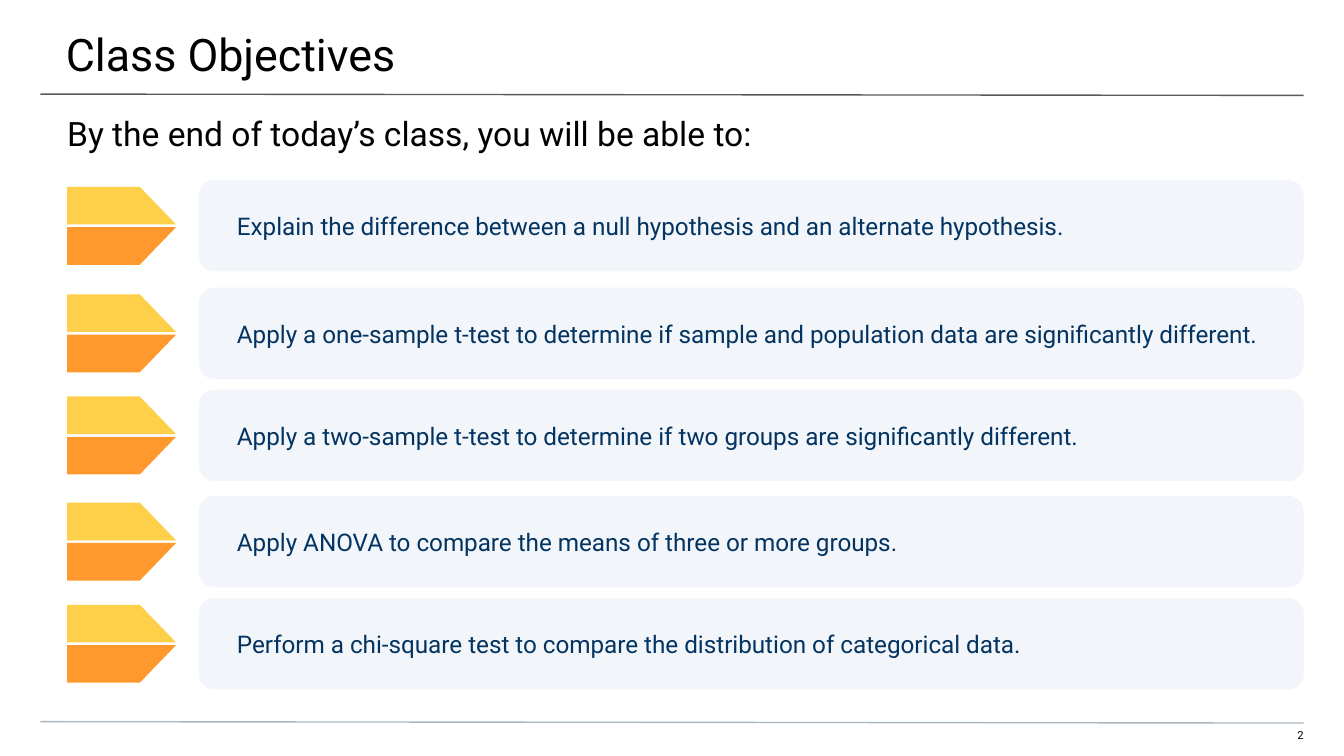
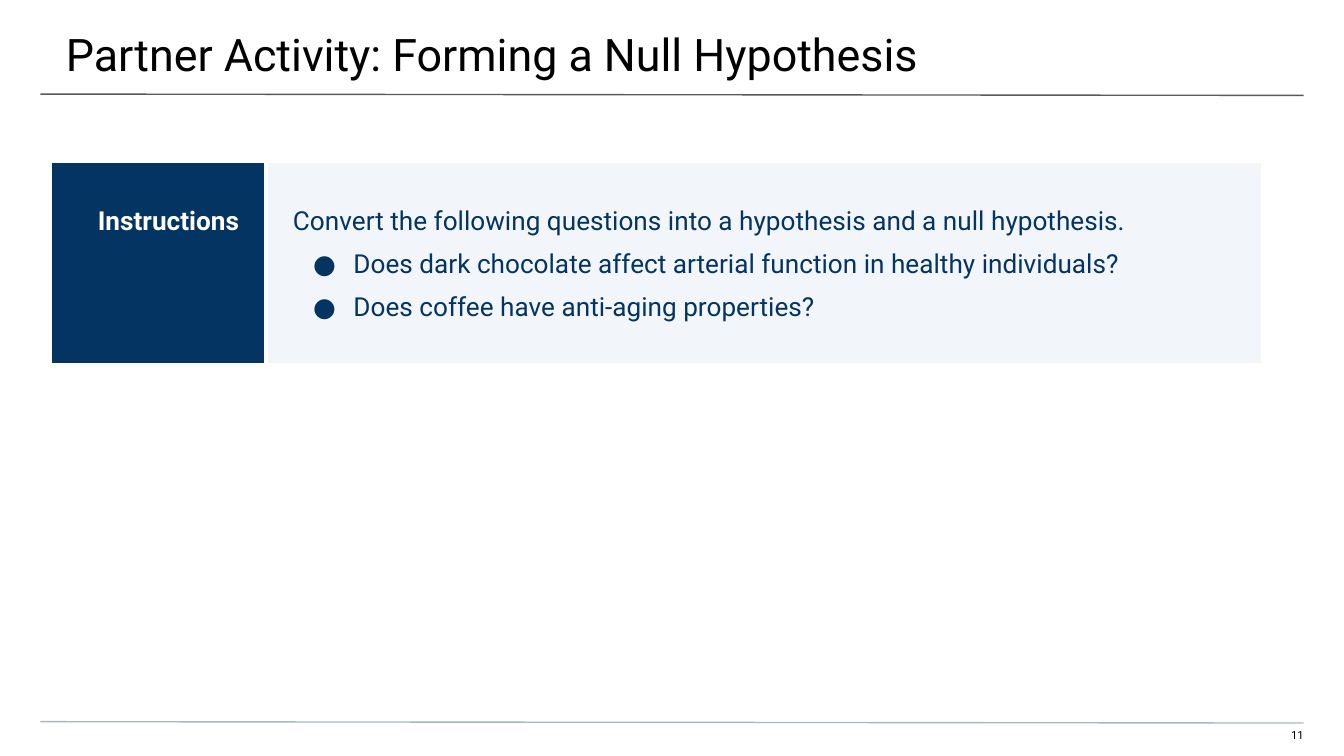
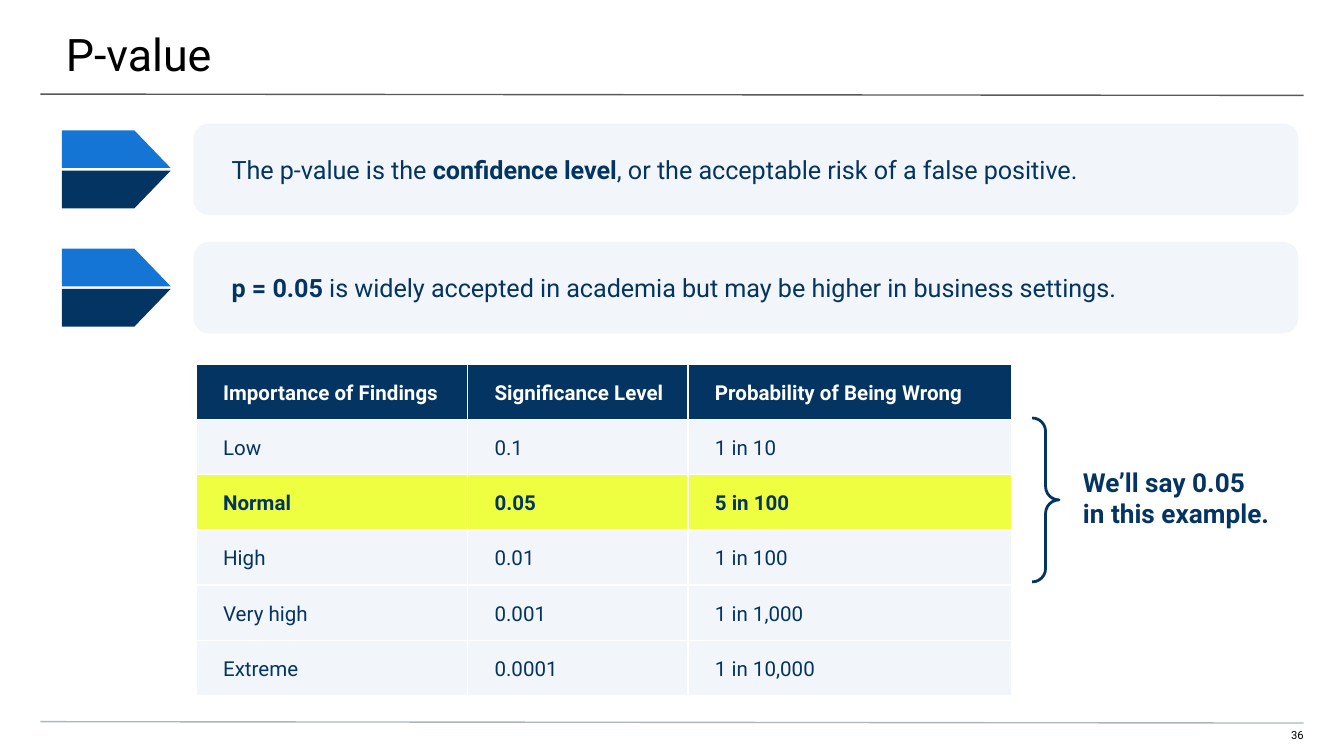
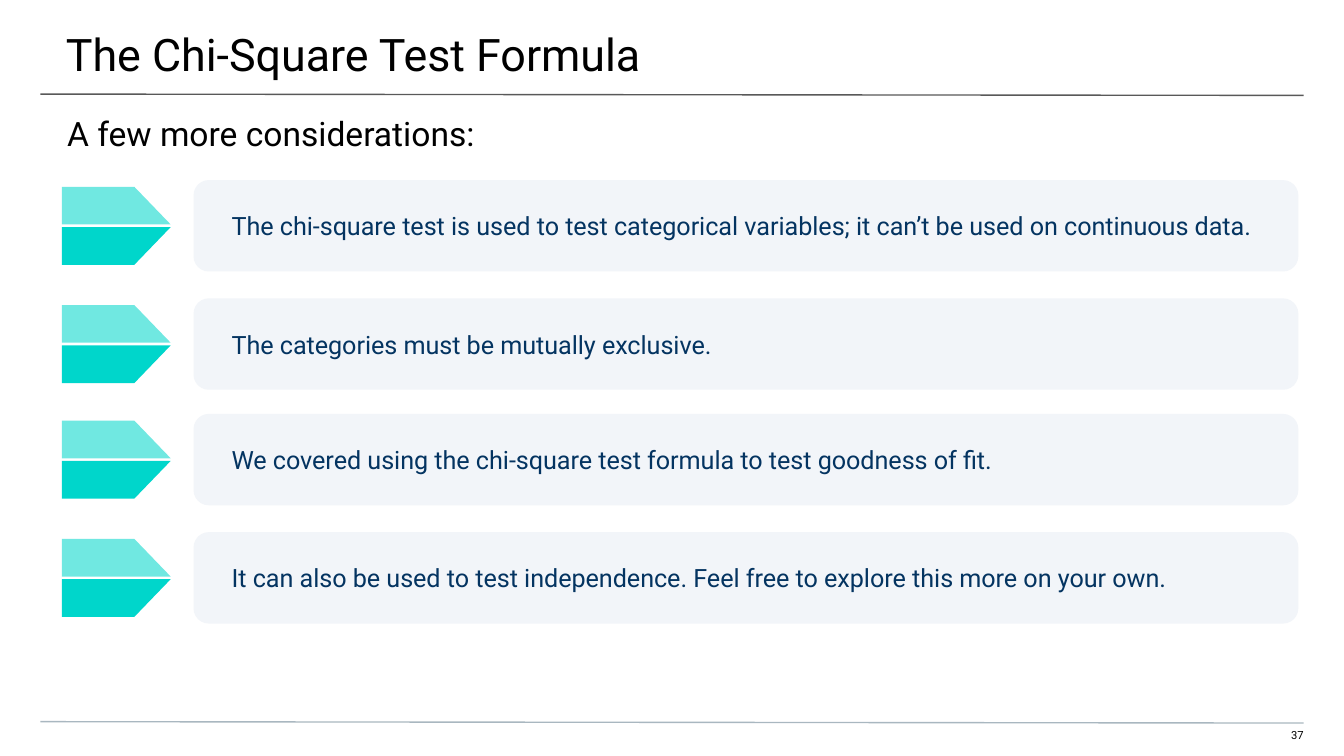
import pptx
import pptx.dml.color
import pptx.enum.shapes
import pptx.enum.text
import pptx.oxml
import pptx.oxml.ns
import pptx.util
from lxml import etree

Inches = pptx.util.Inches
Pt = pptx.util.Pt
PP_ALIGN = pptx.enum.text.PP_ALIGN
MSO_SHAPE = pptx.enum.shapes.MSO_SHAPE

FONT = "Roboto"
COLORS = {
    "black": "000000", "white": "FFFFFF", "navy": "043461", "panel": "F2F5F9",
    "title_rule": "595959", "footer_rule": "A9B7C0", "yellow": "FECF48",
    "orange": "FF992D", "blue": "1475D4", "teal": "00D6CB", "highlight": "EEFF41",
}
ROW_HEIGHT = 0.68


def rgb(name):
    return pptx.dml.color.RGBColor.from_string(COLORS[name])


def sub(parent, tag, **attrs):
    return etree.SubElement(parent, pptx.oxml.ns.qn(tag), attrs)


def paint(sp, color, alpha=None):
    sp.shadow.inherit = False
    sp.line.fill.background()
    sp.fill.solid()
    sp.fill.fore_color.rgb = rgb(color)
    if alpha:
        clr = sp.fill._xPr.find(".//" + pptx.oxml.ns.qn("a:srgbClr"))
        sub(clr, "a:alpha", val=str(alpha * 1000))


def set_font(p, size, color, bold=False):
    p.font.name = FONT
    p.font.size = Pt(size)
    p.font.color.rgb = rgb(color)
    p.font.bold = bold


def set_insets(target, insets):
    (target.margin_left, target.margin_top,
     target.margin_right, target.margin_bottom) = [Inches(v) for v in insets]


def add_text(slide, box, text, size, color, insets, bold=False, align=None):
    sp = slide.shapes.add_textbox(*[Inches(v) for v in box])
    tf = sp.text_frame
    tf.word_wrap = True
    set_insets(tf, insets)
    p = tf.paragraphs[0]
    p.text = text
    p.alignment = align
    set_font(p, size, color, bold)


def add_rule(slide, top, color):
    line = slide.shapes.add_connector(
        pptx.enum.shapes.MSO_CONNECTOR.STRAIGHT,
        Inches(0.3), Inches(top), Inches(9.7), Inches(top + 0.01))
    line.line.color.rgb = rgb(color)
    line.line.width = Pt(0.75)
    sub(line._element.spPr, "a:effectLst")


def add_base(prs, title, number, subtitle=None):
    slide = prs.slides.add_slide(prs.slide_layouts[6])
    add_text(slide, (9.41, 5.42, 0.29, 0.12), str(number), 6, "black",
             (0, 0, 0, 0.1), align=PP_ALIGN.RIGHT)
    add_rule(slide, 0.7, "title_rule")
    add_rule(slide, 5.37, "footer_rule")
    add_text(slide, (-0.01, 0, 10.03, 0.58), title, 24, "black", (0.5, 0.2, 0.3, 0.1))
    if subtitle:
        add_text(slide, (0, 0.74, 10, 0.4), subtitle, 18, "black", (0.5, 0.1, 0.5, 0))
    return slide


def add_arrow_half(slide, left, flat, tip, color, alpha=None):
    points = [(left, flat), (left, tip), (left + 0.81, tip), (left + 0.54, flat)]
    points = [(Inches(x), Inches(y)) for x, y in points]
    builder = slide.shapes.build_freeform(*points[0])
    builder.add_line_segments(points[1:], close=True)
    paint(builder.convert_to_shape(), color, alpha)


def add_point(slide, left, top, runs, size, upper, lower, alpha=None):
    add_arrow_half(slide, left, top + 0.05, top + 0.33, upper, alpha)
    add_arrow_half(slide, left, top + 0.63, top + 0.35, lower)
    sp = slide.shapes.add_shape(
        MSO_SHAPE.ROUNDED_RECTANGLE, Inches(left + 0.98), Inches(top),
        Inches(8.22), Inches(ROW_HEIGHT))
    paint(sp, "panel")
    tf = sp.text_frame
    tf.word_wrap = True
    tf.vertical_anchor = pptx.enum.text.MSO_ANCHOR.MIDDLE
    set_insets(tf, (0.25, 0.1, 0.1, 0.1))
    p = tf.paragraphs[0]
    p.alignment = PP_ALIGN.LEFT
    set_font(p, size, "navy")
    for text, bold in runs:
        r = p.add_run()
        r.text = text
        if bold:
            r.font.bold = True


def add_points(slide, left, tops, items, size, upper, lower, alpha=None):
    for top, item in zip(tops, items):
        runs = [(item, False)] if isinstance(item, str) else item
        add_point(slide, left, top, runs, size, upper, lower, alpha)


def add_grid(slide, left, top, widths, heights):
    frame = slide.shapes.add_table(
        len(heights), len(widths), Inches(left), Inches(top),
        Inches(sum(widths)), Inches(sum(heights)))
    table = frame.table
    table.first_row = False
    table.horz_banding = False
    for col, width in zip(table.columns, widths):
        col.width = Inches(width)
    for row, height in zip(table.rows, heights):
        row.height = Inches(height)
    return table


def style_cell(cell, fill, border, insets):
    tc_pr = cell._tc.get_or_add_tcPr()
    for side in ("a:lnL", "a:lnR", "a:lnT", "a:lnB"):
        ln = sub(tc_pr, side, w=str(Pt(border)))
        sub(sub(ln, "a:solidFill"), "a:srgbClr", val=COLORS["white"])
    cell.fill.solid()
    cell.fill.fore_color.rgb = rgb(fill)
    set_insets(cell, insets)


def write_cell_paragraph(p, text, size, color, bold=False):
    p.text = text
    p.line_spacing = 1.15
    set_font(p, size, color, bold)


def add_bullet(p):
    p.space_before = Pt(4)
    p_pr = p._p.get_or_add_pPr()
    p_pr.set("marL", str(Inches(0.45)))
    p_pr.set("indent", str(Inches(-0.3)))
    sub(sub(p_pr, "a:buClr"), "a:srgbClr", val=COLORS["navy"])
    sub(p_pr, "a:buFont", typeface=FONT)
    sub(p_pr, "a:buChar", char="●")


def add_instructions(slide, left, top, label, intro, questions):
    heights = (0.23, 0.18, 0.2, 0.24, 0.31, 0.06)
    table = add_grid(slide, left, top, (1.61, 7.42), heights)
    for column, fill in enumerate(("navy", "panel")):
        table.cell(0, column).merge(table.cell(len(heights) - 1, column))
        for row in range(len(heights)):
            style_cell(table.cell(row, column), fill, 2.25, (0.2, 0.3, 0.2, 0.3))
    p = table.cell(0, 0).text_frame.paragraphs[0]
    p.alignment = PP_ALIGN.RIGHT
    write_cell_paragraph(p, label, 14, "white", True)
    tf = table.cell(0, 1).text_frame
    write_cell_paragraph(tf.paragraphs[0], intro, 14, "navy")
    for question in questions:
        p = tf.add_paragraph()
        add_bullet(p)
        write_cell_paragraph(p, question, 14, "navy")
    p.space_after = Pt(4)


def add_significance_table(slide, left, top, rows, highlighted):
    table = add_grid(slide, left, top, (2.02, 1.64, 2.41), [0.37] * len(rows))
    for i, row in enumerate(rows):
        header = i == 0
        fill = "navy" if header else "highlight" if i == highlighted else "panel"
        for j, text in enumerate(row):
            cell = table.cell(i, j)
            style_cell(cell, fill, 1, (0.2, 0.1, 0.1 if header else 0.2, 0.1))
            write_cell_paragraph(cell.text_frame.paragraphs[0], text, 11,
                                 "white" if header else "navy",
                                 header or i == highlighted)


def add_brace_note(slide, left, top, text):
    add_text(slide, (left + 0.28, top + 0.26, 2.04, 0.67), text, 14, "navy",
             (0.1, 0.1, 0.1, 0.1), bold=True)
    brace = slide.shapes.add_shape(
        MSO_SHAPE.RIGHT_BRACE, Inches(left), Inches(top), Inches(0.2), Inches(1.22))
    brace.adjustments[0] = 0.5
    brace.adjustments[1] = 0.5
    brace.shadow.inherit = False
    brace.fill.background()
    brace.line.color.rgb = rgb("navy")
    brace.line.width = Pt(1.5)


def objectives_slide(prs):
    slide = add_base(prs, "Class Objectives", 2,
                     "By the end of today’s class, you will be able to:")
    add_points(slide, 0.5, (1.34, 2.14, 2.9, 3.69, 4.45), (
        "Explain the difference between a null hypothesis and an alternate hypothesis.",
        "Apply a one-sample t-test to determine if sample and population data are "
        "significantly different.",
        "Apply a two-sample t-test to determine if two groups are significantly different.",
        "Apply ANOVA to compare the means of three or more groups.",
        "Perform a chi-square test to compare the distribution of categorical data.",
    ), 13, "yellow", "orange")


def activity_slide(prs):
    slide = add_base(prs, "Partner Activity: Forming a Null Hypothesis", 11)
    add_instructions(
        slide, 0.37, 1.2, "Instructions",
        "Convert the following questions into a hypothesis and a null hypothesis.",
        ("Does dark chocolate affect arterial function in healthy individuals?",
         "Does coffee have anti-aging properties?"))


def p_value_slide(prs):
    slide = add_base(prs, "P-value", 36)
    add_points(slide, 0.46, (0.92, 1.8), (
        [("The p-value is the ", False), ("confidence level", True),
         (", or the acceptable risk of a false positive.", False)],
        [("p = 0.05", True),
         (" is widely accepted in academia but may be higher in business settings.", False)],
    ), 13.5, "blue", "navy")
    add_significance_table(slide, 1.46, 2.71, (
        ("Importance of Findings", "Significance Level", "Probability of Being Wrong"),
        ("Low", "0.1", "1 in 10"),
        ("Normal", "0.05", "5 in 100"),
        ("High", "0.01", "1 in 100"),
        ("Very high", "0.001", "1 in 1,000"),
        ("Extreme", "0.0001", "1 in 10,000"),
    ), highlighted=2)
    add_brace_note(slide, 7.68, 3.11, "We’ll say 0.05 \vin this example.")


def chi_square_slide(prs):
    slide = add_base(prs, "The Chi-Square Test Formula", 37,
                     "A few more considerations:")
    add_points(slide, 0.46, (1.34, 2.22, 3.08, 3.96), (
        "The chi-square test is used to test categorical variables; it can’t be used on "
        "continuous data.",
        "The categories must be mutually exclusive.",
        "We covered using the chi-square test formula to test goodness of fit.",
        "It can also be used to test independence. Feel free to explore this more on your own.",
    ), 13.5, "teal", "teal", alpha=56)


def main():
    prs = pptx.Presentation()
    prs.slide_width = Inches(10)
    prs.slide_height = prs.slide_width * 9 // 16
    objectives_slide(prs)
    activity_slide(prs)
    p_value_slide(prs)
    chi_square_slide(prs)
    prs.save("out.pptx")


if __name__ == "__main__":
    main()
